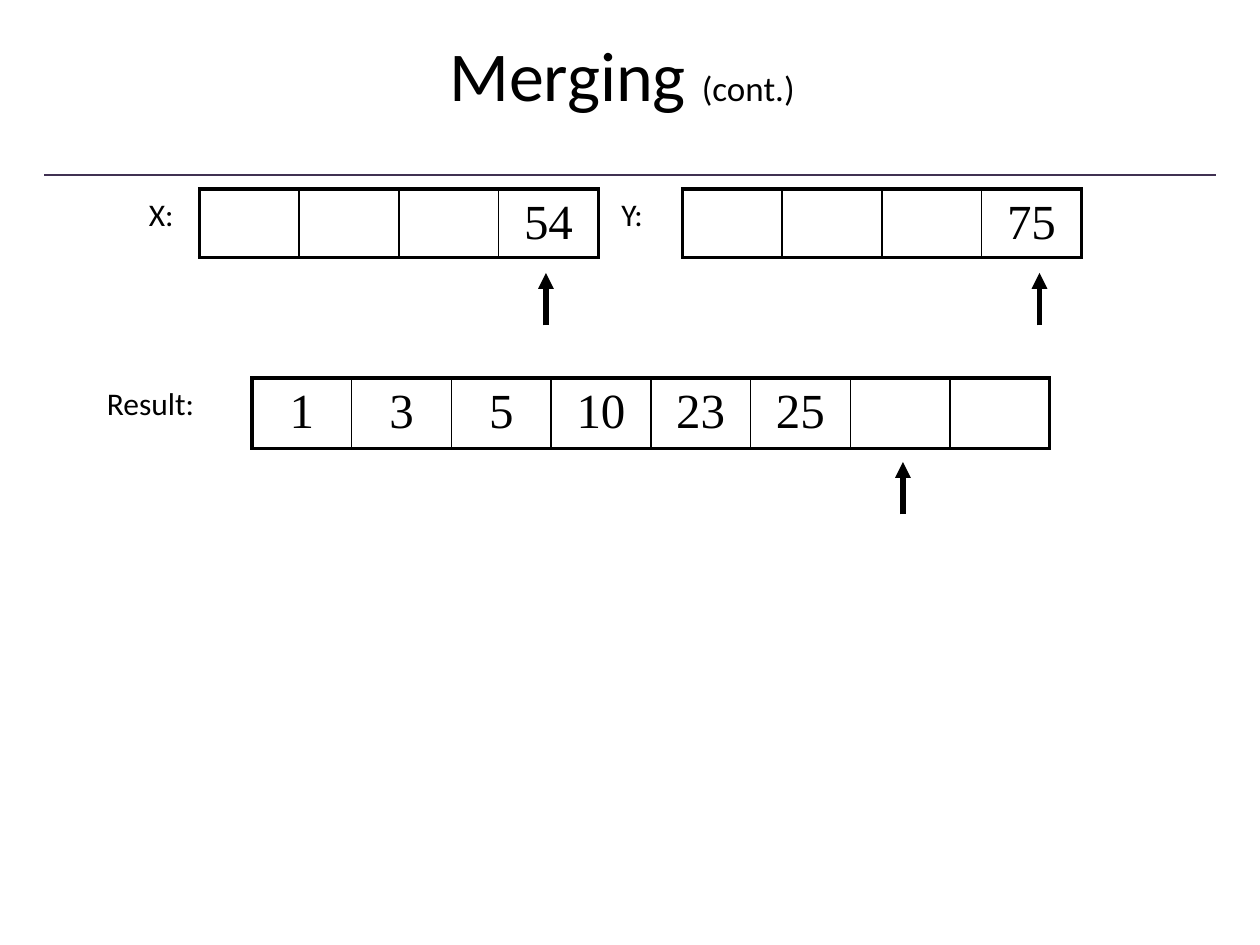
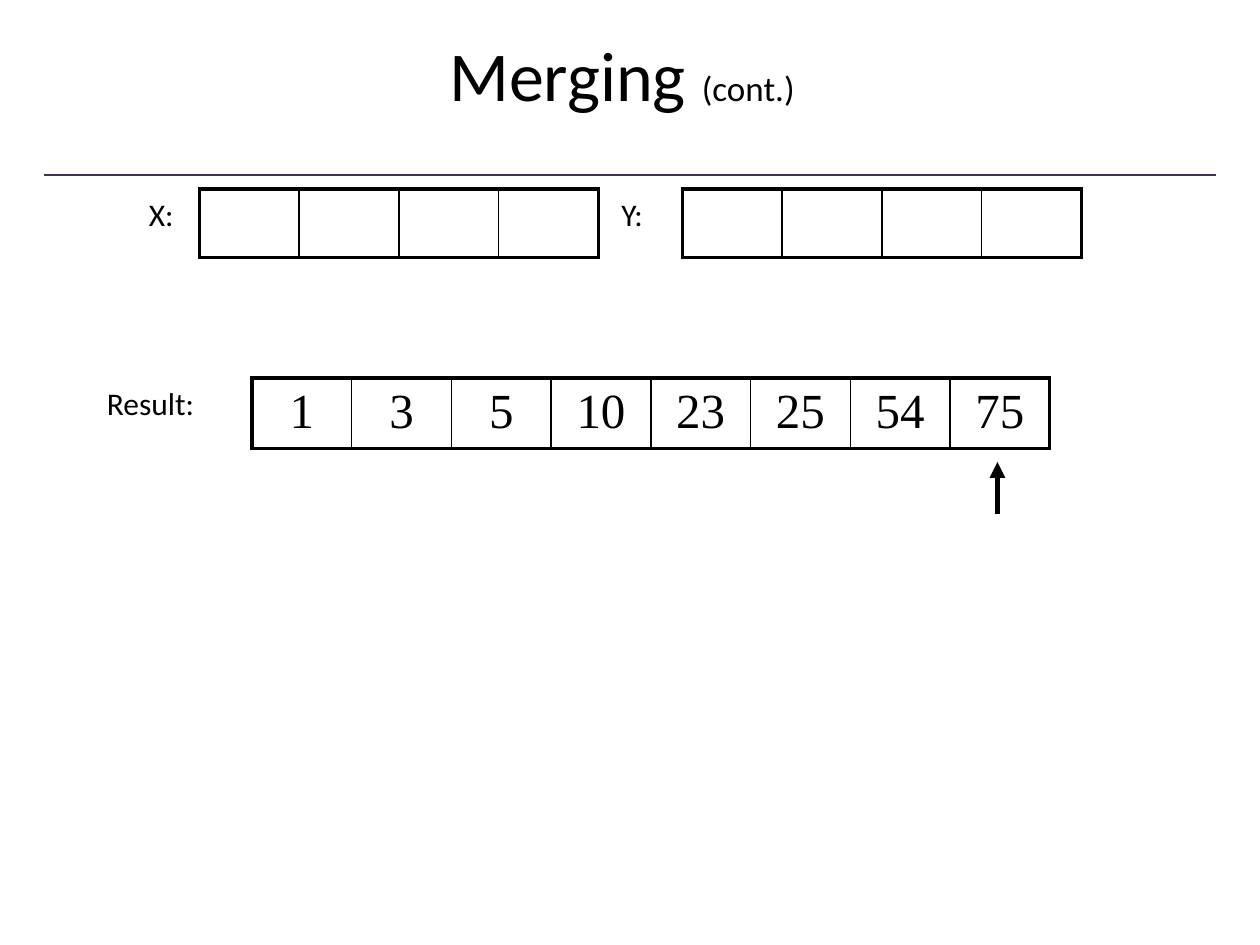
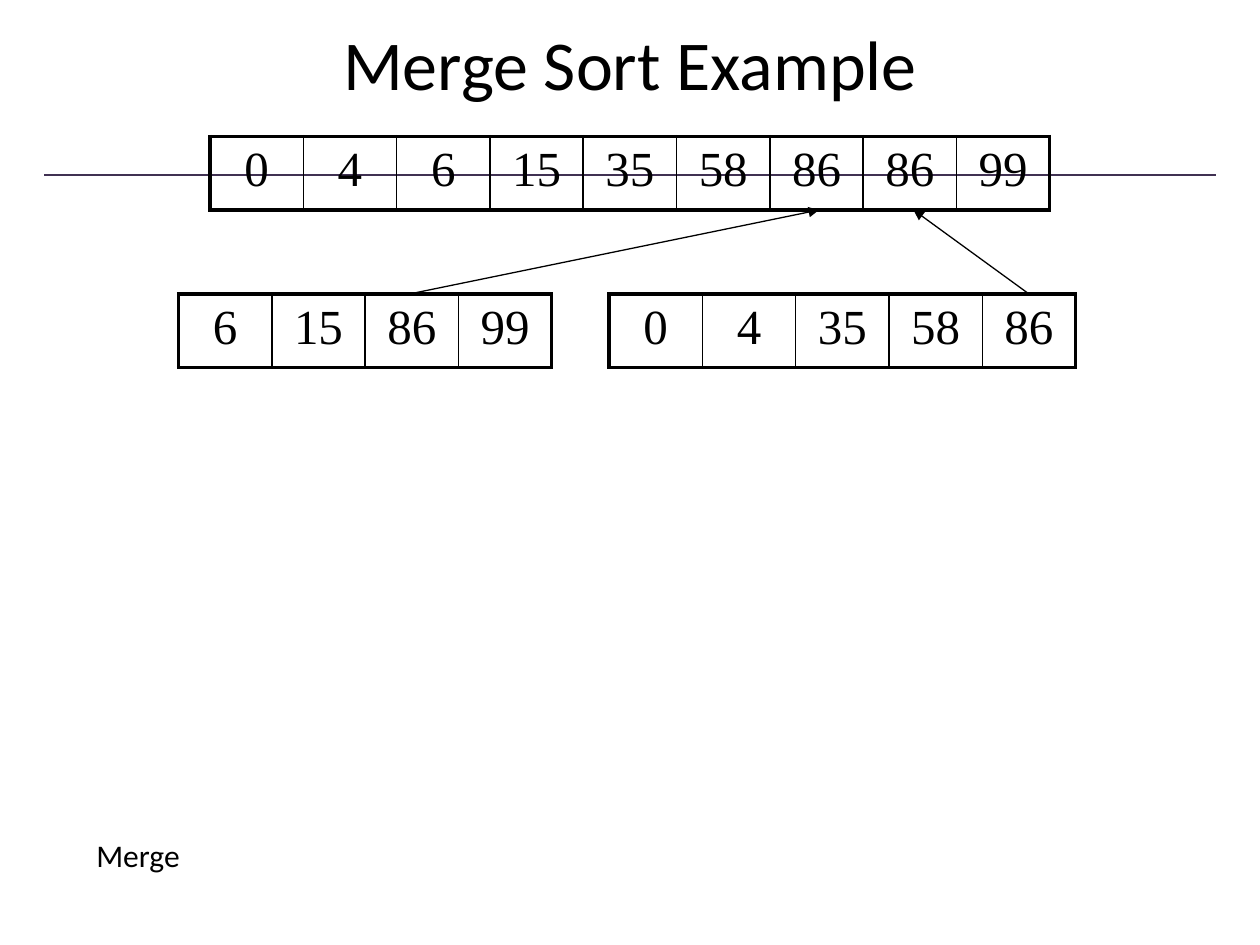
import pptx
import pptx.dml.color
import pptx.enum.shapes
import pptx.enum.text
import pptx.oxml
import pptx.oxml.ns
import pptx.util
from lxml import etree

Pt = pptx.util.Pt
qn = pptx.oxml.ns.qn

COLORS = {"ink": "000000", "rule": "403152"}
HEADING_FONT = "Calibri"
NUMBER_FONT = "Times New Roman"
TITLE_ONLY = 5
OUTER, INNER = 2.25, 1  # array border widths
MERGE_CELL = 57
SORT_CELL = 53.33
SORT_ROW = 42


def rgb(name):
    return pptx.dml.color.RGBColor.from_string(COLORS[name])


def add_run(paragraph, text, size, font=HEADING_FONT):
    run = paragraph.add_run()
    run.text = text
    run.font.size = Pt(size)
    run.font.name = font
    run.font.color.rgb = rgb("ink")


def add_line(slide, start, end, color, width, arrow=False):
    line = slide.shapes.add_connector(
        pptx.enum.shapes.MSO_CONNECTOR.STRAIGHT, *map(Pt, start + end))
    line.line.color.rgb = rgb(color)
    line.line.width = Pt(width)
    properties = line.element.spPr
    if arrow:
        etree.SubElement(properties.find(qn("a:ln")), qn("a:tailEnd"), type="triangle")
    etree.SubElement(properties, qn("a:effectLst"))
    return line


def add_pointer(slide, x, tip):
    """Short upward arrow marking the current element of an array."""
    add_line(slide, (x, tip + 30), (x, tip), "ink", 3, arrow=True)


def add_label(slide, text, left, top, width):
    label = slide.shapes.add_textbox(Pt(left), Pt(top), Pt(width), Pt(36))
    label.text_frame.word_wrap = True
    label.text_frame.auto_size = pptx.enum.text.MSO_AUTO_SIZE.SHAPE_TO_FIT_TEXT
    add_run(label.text_frame.paragraphs[0], text, 18)


def set_border(cell, side, width):
    border = etree.SubElement(
        cell._tc.get_or_add_tcPr(), qn(f"a:ln{side}"), w=str(Pt(width)))
    fill = etree.SubElement(border, qn("a:solidFill"))
    etree.SubElement(fill, qn("a:srgbClr"), val=COLORS["ink"])


def add_array(slide, values, left, top, cell_width, height):
    """One-row table of numbers; an empty string is a vacant slot."""
    count = len(values)
    array = slide.shapes.add_table(
        1, count, Pt(left), Pt(top), Pt(cell_width * count), Pt(height)).table
    array.first_row = array.horz_banding = False
    for index, value in enumerate(values):
        array.columns[index].width = Pt(cell_width)
        cell = array.cell(0, index)
        set_border(cell, "L", OUTER if index == 0 else INNER)
        set_border(cell, "R", OUTER if index == count - 1 else INNER)
        set_border(cell, "T", OUTER)
        set_border(cell, "B", OUTER)
        cell.fill.background()
        if value != "":
            number = cell.text_frame.paragraphs[0]
            number.alignment = pptx.enum.text.PP_ALIGN.CENTER
            add_run(number, str(value), 28, NUMBER_FONT)


def add_titled_slide(deck, title_runs, top, height):
    slide = deck.slides.add_slide(deck.slide_layouts[TITLE_ONLY])
    title = slide.shapes.title
    title.left, title.top, title.width, title.height = map(Pt, (54, top, 612, height))
    frame = title.text_frame
    frame.word_wrap = True
    frame.auto_size = pptx.enum.text.MSO_AUTO_SIZE.NONE
    frame.vertical_anchor = pptx.enum.text.MSO_ANCHOR.MIDDLE
    frame.paragraphs[0].alignment = pptx.enum.text.PP_ALIGN.CENTER
    for text, size in title_runs:
        add_run(frame.paragraphs[0], text, size)
    return slide


def add_merging_slide(deck, x_values, y_values, result, pointers):
    slide = add_titled_slide(
        deck, [("Merging ", 40), ("(cont.)", 20), (" ", 40)], 12, 60)
    add_array(slide, x_values, 114, 108, MERGE_CELL, 39)
    add_array(slide, y_values, 390, 108, MERGE_CELL, 39)
    add_array(slide, result, 144, 216, MERGE_CELL, 40.3)
    for x, tip in pointers:
        add_pointer(slide, x, tip)
    add_label(slide, "X:", 78, 108, 42)
    add_label(slide, "Y:", 348, 108, 42)
    add_label(slide, "Result:", 54, 216, 84)
    return slide


def add_merge_sort_slide(deck):
    slide = add_titled_slide(deck, [("Merge Sort Example", 40)], 0, 72)
    add_array(slide, [0, 4, 6, 15, 35, 58, 86, 86, 99], 120, 78, SORT_CELL, SORT_ROW)
    add_array(slide, [6, 15, 86, 99], 102, 168, SORT_CELL, SORT_ROW)
    add_array(slide, [0, 4, 35, 58, 86], 348, 168, SORT_CELL, SORT_ROW)
    add_label(slide, "Merge", 48, 474, 366)
    for source_x, target_x in ((234, 468), (588, 522)):
        add_line(slide, (source_x, 168), (target_x, 120), "ink", 0.75, arrow=True)


def main():
    deck = pptx.Presentation()
    deck.slide_width, deck.slide_height = Pt(720), Pt(540)

    # Merging: last elements, then the finished result
    merged = [1, 3, 5, 10, 23, 25]
    vacant = [""] * 3
    first = add_merging_slide(
        deck, vacant + [54], vacant + [75], merged + ["", ""],
        [(312, 156), (594, 156), (516, 264)])
    add_merging_slide(
        deck, vacant + [""], vacant + [""], merged + [54, 75], [(570, 264)])

    # Merge sort example
    add_merge_sort_slide(deck)

    # Rule under the title, moved to the layout that all slides share
    rule = add_line(first, (25.2, 100), (694.8, 100), "rule", 1)
    deck.slide_layouts[TITLE_ONLY].shapes.element.append(rule.element)

    deck.save("out.pptx")


if __name__ == "__main__":
    main()
